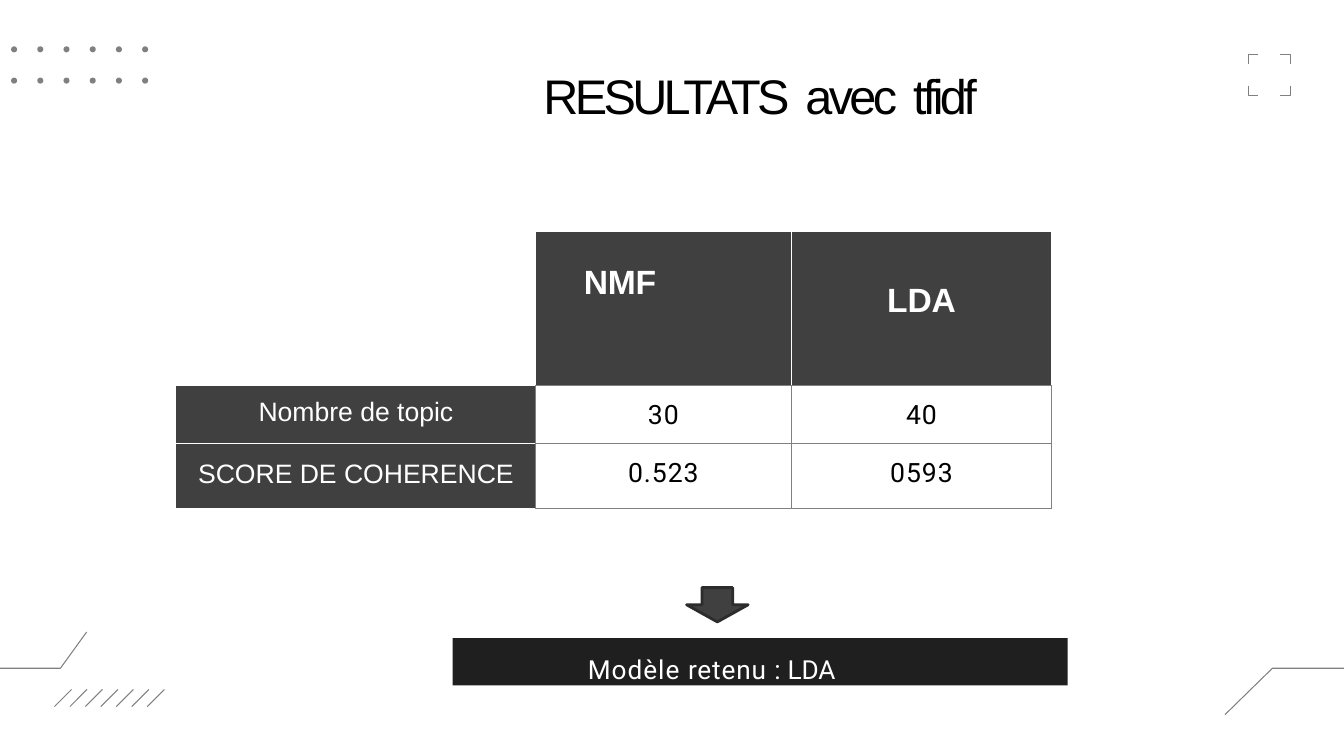
from dataclasses import dataclass
from itertools import product

from lxml.etree import SubElement
from pptx import Presentation
from pptx.dml.color import RGBColor
from pptx.enum.shapes import MSO_CONNECTOR, MSO_SHAPE
from pptx.enum.text import MSO_ANCHOR, PP_ALIGN
from pptx.oxml.ns import qn
from pptx.util import Inches, Pt


@dataclass(frozen=True)
class Theme:
    """Colours, fonts and sizes of the slide."""
    grey: str = "808080"
    dark: str = "404040"
    outline: str = "2C2C2C"
    bar: str = "1F1F1F"
    white: str = "FFFFFF"
    black: str = "000000"
    font: str = "Arial"
    value_font: str = "Roboto"
    title_size: float = 34.7
    head_size: float = 24
    body_size: float = 19
    bar_size: float = 18.7
    hairline: float = 0.75


T = Theme()


def rgb(color):
    """Turn a hex string into a colour."""
    return RGBColor.from_string(color)


def write(tf, text, *, size, color, font=T.font, bold=False, spc=0, align=PP_ALIGN.LEFT, line=None):
    """Write one paragraph; text is a string or (string, spacing) pairs."""
    p = tf.paragraphs[0]
    p.alignment = align
    if line:
        p.line_spacing = Pt(line)
    for part, gap in [(text, spc)] if isinstance(text, str) else text:
        r = p.add_run()
        r.text = part
        r.font.size, r.font.name, r.font.bold = Pt(size), font, bold
        r.font.color.rgb = rgb(color)
        r._r.get_or_add_rPr().set("spc", str(round(gap * 100)))


def inset(box, left=0, top=0):
    """Set the left and top margins of a box and clear the others."""
    box.margin_left, box.margin_top = Inches(left), Inches(top)
    box.margin_right = box.margin_bottom = 0


def add_shape(s, kind, x, y, w, h, fill, line=None, width=T.hairline):
    """Add a preset shape with flat formatting."""
    sp = s.shapes.add_shape(kind, Inches(x), Inches(y), Inches(w), Inches(h))
    sp.shadow.inherit = False
    sp.fill.solid()
    sp.fill.fore_color.rgb = rgb(fill)
    if line:
        sp.line.color.rgb, sp.line.width = rgb(line), Pt(width)
    else:
        sp.line.fill.background()
    return sp


def add_path(s, points):
    """Draw an open thin grey line through the points."""
    first, *rest = [(Inches(x), Inches(y)) for x, y in points]
    builder = s.shapes.build_freeform(*first)
    builder.add_line_segments(rest, close=False)
    sp = builder.convert_to_shape()
    sp.shadow.inherit = False
    sp.fill.background()
    sp.line.color.rgb, sp.line.width = rgb(T.grey), Pt(T.hairline)


def add_dots(s, x, y, cols=6, rows=2, size=0.06):
    """Draw a grid of dots."""
    for row, col in product(range(rows), range(cols)):
        add_shape(s, MSO_SHAPE.OVAL, x + 0.26 * col, y + 0.31 * row, size, size, T.grey)


def add_slashes(s, x, y, w, h, count=7):
    """Draw a row of evenly spaced slashes."""
    pitch = (w - h) / (count - 1)
    for i in range(count):
        left = x + i * pitch
        line = s.shapes.add_connector(MSO_CONNECTOR.STRAIGHT, Inches(left), Inches(y + h),
                                      Inches(left + h), Inches(y))
        line.line.color.rgb, line.line.width = rgb(T.grey), Pt(T.hairline)
        SubElement(line._element.spPr, qn("a:effectLst"))


def add_brackets(s, x, y, w, h, arm=0.1):
    """Draw the four corner marks of a frame."""
    for (cx, dx), (cy, dy) in product([(x, arm), (x + w, -arm)], [(y, arm), (y + h, -arm)]):
        add_path(s, [(cx, cy + dy), (cx, cy), (cx + dx, cy)])


def add_title(s, x, y, w, h):
    """Add the slide title."""
    tf = s.shapes.add_textbox(Inches(x), Inches(y), Inches(w), Inches(h)).text_frame
    tf.word_wrap = True
    tf.vertical_anchor = MSO_ANCHOR.MIDDLE
    inset(tf, 0.02, 0.02)
    write(tf, "RESULTATS  avec  tfidf", size=T.title_size, color=T.black, spc=-2.6)


def set_borders(cell, **colors):
    """Colour the L, R, T and B borders and hide those not named."""
    tcPr = cell._tc.get_or_add_tcPr()
    for i, side in enumerate("LRTB"):
        ln = tcPr.makeelement(qn(f"a:ln{side}"), {"w": str(Pt(T.hairline))})
        if side in colors:
            SubElement(SubElement(ln, qn("a:solidFill")), qn("a:srgbClr"), val=colors[side])
        else:
            SubElement(ln, qn("a:noFill"))
        tcPr.insert(i, ln)


def format_cell(cell, text, fill, left, top, borders, **fmt):
    """Fill, frame and write one table cell."""
    if fill:
        cell.fill.solid()
        cell.fill.fore_color.rgb = rgb(fill)
    else:
        cell.fill.background()
    set_borders(cell, **borders)
    inset(cell, left, top)
    if text:
        write(cell.text_frame, text, **fmt)


def add_results(s, x, y, w, h):
    """Add the table that compares the two models."""
    table = s.shapes.add_table(3, 3, Inches(x), Inches(y), Inches(w), Inches(h)).table
    table.first_row = table.horz_banding = False
    for col, width in zip(table.columns, (3.56, 2.54, 2.58)):
        col.width = Inches(width)
    for row, height in zip(table.rows, (1.52, 0.58, 0.64)):
        row.height = Inches(height)

    format_cell(table.cell(0, 0), "", None, 0, 0, dict(R=T.white, B=T.white))
    heads = [("NMF", 0.48, 0.32, PP_ALIGN.LEFT), ("LDA", 0, 0.5, PP_ALIGN.CENTER)]
    for c, (text, left, top, align) in enumerate(heads, 1):
        format_cell(table.cell(0, c), text, T.dark, left, top,
                    dict(L=T.white, R=T.white, B=T.grey), size=T.head_size,
                    color=T.white, bold=True, spc=-0.1, align=align)
    body = [("Nombre de topic", 0.12, ("30", "40")),
            ("SCORE DE COHERENCE", 0.16, ("0.523", "0593"))]
    for r, (label, top, values) in enumerate(body, 1):
        format_cell(table.cell(r, 0), label, T.dark, 0, top,
                    dict(T=T.white, R=T.grey, B=T.white), size=T.body_size,
                    color=T.white, align=PP_ALIGN.CENTER)
        for c, value in enumerate(values, 1):
            format_cell(table.cell(r, c), value, None, 0, 0.23, dict.fromkeys("LRTB", T.grey),
                        size=T.body_size, color=T.black, font=T.value_font, spc=0.7,
                        align=PP_ALIGN.CENTER, line=16.3)


def add_conclusion(s, x, y, w, h):
    """Add the arrow and the bar that names the chosen model."""
    add_shape(s, MSO_SHAPE.DOWN_ARROW, x + 2.32, y - 0.5, 0.61, 0.34, T.dark, T.outline, 2)
    tf = add_shape(s, MSO_SHAPE.RECTANGLE, x, y, w, h, T.bar).text_frame
    tf.word_wrap = True
    tf.vertical_anchor = MSO_ANCHOR.TOP
    inset(tf, 1.34, 0.15)
    write(tf, [("Modèle ", 0.7), ("retenu ", 0.6), (":", 0.5), (" LDA", -0.1)],
          size=T.bar_size, color=T.white, font=T.value_font)


def add_decor(s, w, h):
    """Add the ornaments in the corners of the slide."""
    add_path(s, [(w - 1.18, h - 0.41), (w - 0.71, h - 0.87), (w, h - 0.87)])
    add_path(s, [(0.86, h - 1.23), (0.6, h - 0.87), (0, h - 0.87)])
    add_dots(s, 0.11, 0.46)
    add_slashes(s, 0.54, h - 0.66, 1.09, 0.17)
    add_brackets(s, w - 0.95, 0.54, 0.42, 0.41)


def main():
    """Build and save the slide."""
    w, h = 13.33, 7.5
    prs = Presentation()
    prs.slide_width, prs.slide_height = Inches(w), Inches(h)
    s = prs.slides.add_slide(prs.slide_layouts[6])
    add_decor(s, w, h)
    add_title(s, 5.37, 0.63, 4.91, 0.6)
    add_results(s, 1.75, 2.3, 8.68, 2.74)
    add_conclusion(s, 4.49, 6.33, 6.1, 0.47)
    prs.save("out.pptx")


if __name__ == "__main__":
    main()
